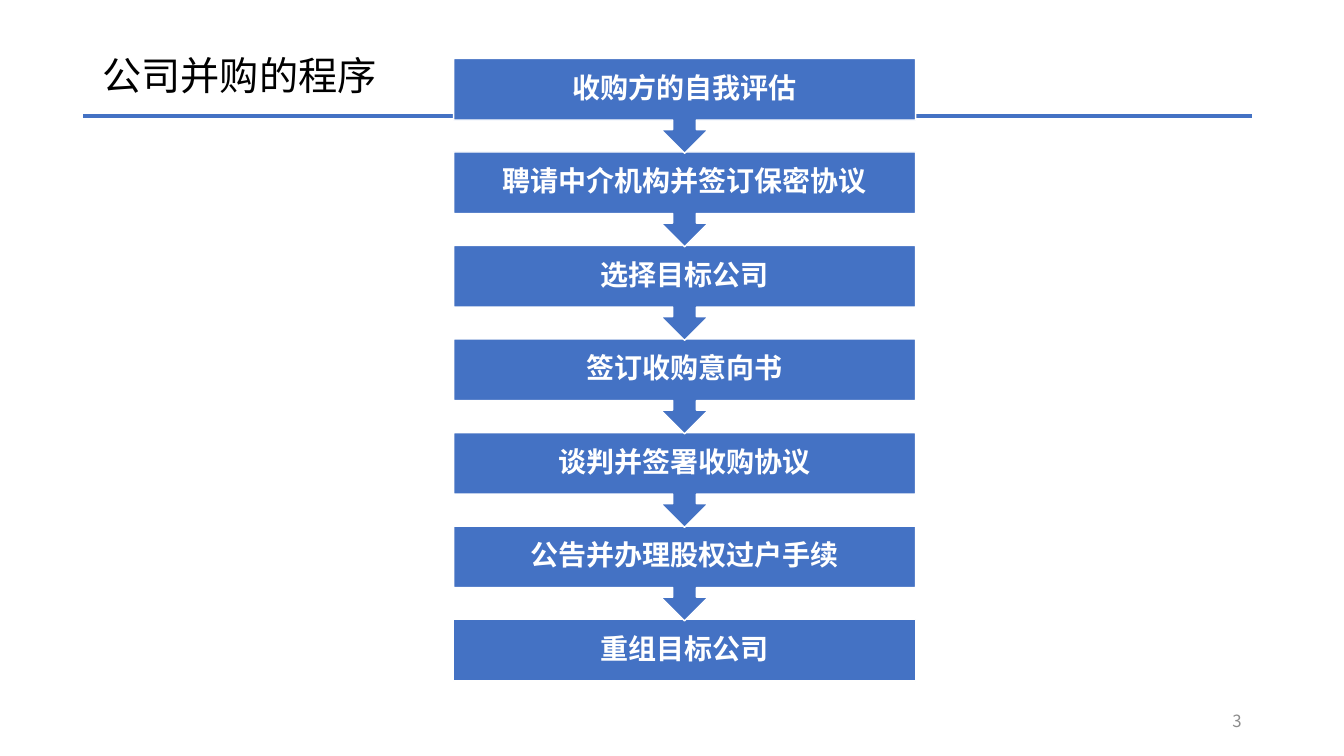
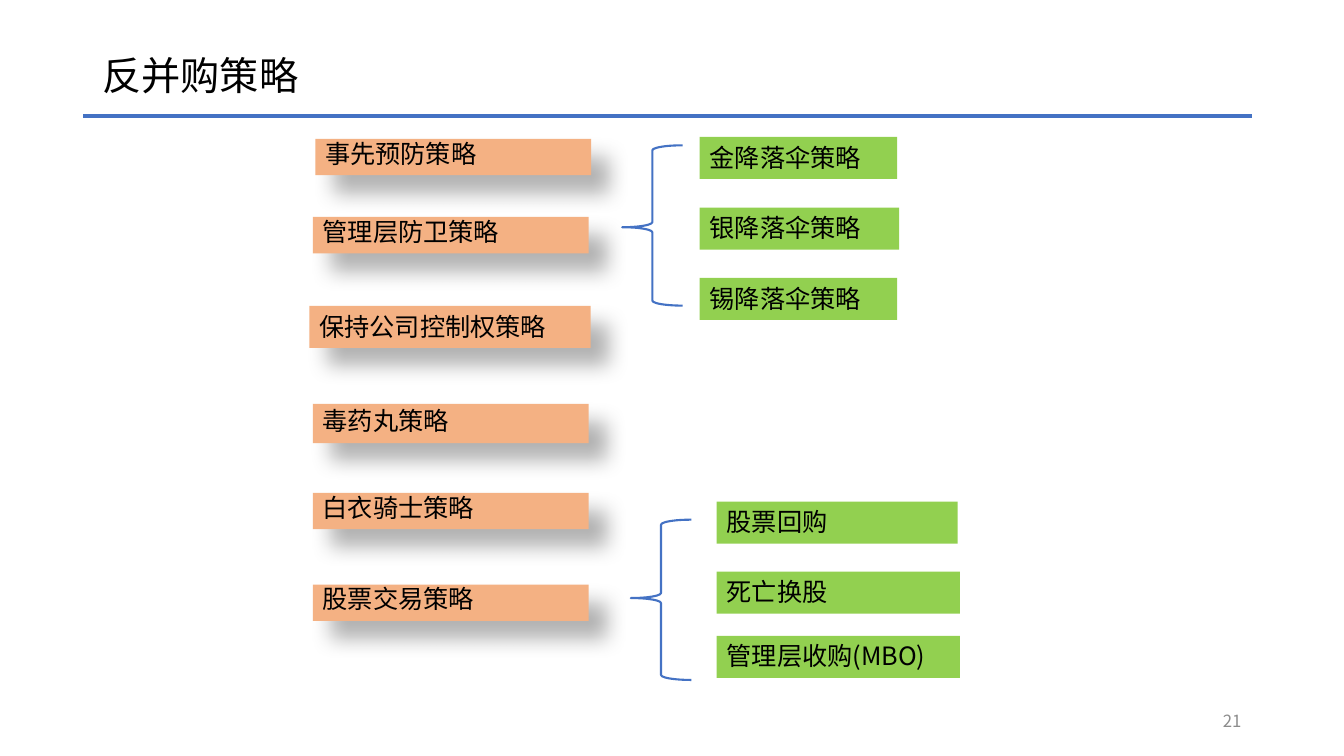
"""Build two slides on company mergers: the procedure and the defence strategies."""
import dataclasses

import lxml.etree
import pptx
import pptx.dml.color
import pptx.enum.shapes
import pptx.enum.text
import pptx.oxml.ns
import pptx.util

Pt = pptx.util.Pt
RGBColor = pptx.dml.color.RGBColor
MSO_SHAPE = pptx.enum.shapes.MSO_SHAPE
MSO_ANCHOR = pptx.enum.text.MSO_ANCHOR
PP_ALIGN = pptx.enum.text.PP_ALIGN
qn = pptx.oxml.ns.qn

BLUE = RGBColor(0x44, 0x72, 0xC4)
ORANGE = RGBColor(0xF4, 0xB1, 0x83)
GREEN = RGBColor(0x92, 0xD0, 0x50)
GREY = RGBColor(0x8C, 0x8C, 0x8C)
BLACK = RGBColor(0, 0, 0)
WHITE = RGBColor(0xFF, 0xFF, 0xFF)
FONT = "Noto Sans CJK SC"
TITLE_ONLY = 5

STEP_LEFT, STEP_TOP, STEP_WIDTH = 324, 41.8, 330
STEP_PITCH, CALLOUT_HEIGHT, BOX_HEIGHT = 66.8, 67.7, 44
STEPS = [
    "收购方的自我评估",
    "聘请中介机构并签订保密协议",
    "选择目标公司",
    "签订收购意向书",
    "谈判并签署收购协议",
    "公告并办理股权过户手续",
    "重组目标公司",
]


@dataclasses.dataclass
class Label:
    text: str
    left: float
    top: float
    width: float
    spacing: float = 1.0

    @property
    def height(self) -> float:
        return 10 + 20 * self.spacing


@dataclasses.dataclass
class Brace:
    left: float
    top: float
    point: float


STRATEGIES = [
    Label("事先预防策略", 225.2, 99.2, 197, 0.8),
    Label("管理层防卫策略", 223.5, 155, 197, 0.8),
    Label("保持公司控制权策略", 221, 218.5, 201),
    Label("毒药丸策略", 223.5, 288.6, 197, 0.9),
    Label("白衣骑士策略", 223.5, 352, 197, 0.8),
    Label("股票交易策略", 223.5, 417.6, 197, 0.8),
]
MEASURES = [
    Label("金降落伞策略", 499.8, 97.8, 141),
    Label("银降落伞策略", 499.8, 148.3, 142.5),
    Label("锡降落伞策略", 499.8, 198.6, 141),
    Label("股票回购", 512, 358.4, 172),
    Label("死亡换股", 512, 408.4, 173.7),
    Label("管理层收购(MBO)", 512, 454.2, 173.7),
]
BRACES = [Brace(444.4, 103.8, 0.511), Brace(450.6, 371.2, 0.489)]


def write(tf, text: str, size: float, color: RGBColor, align=PP_ALIGN.LEFT,
          anchor=MSO_ANCHOR.MIDDLE, spacing: float = 1.0, bold: bool = False):
    """Fill a text frame with one formatted paragraph and return it."""
    tf.text = text
    tf.word_wrap = True
    tf.auto_size = pptx.enum.text.MSO_AUTO_SIZE.NONE
    tf.vertical_anchor = anchor
    p = tf.paragraphs[0]
    p.alignment = align
    p.line_spacing = spacing
    for r in p.runs:
        r.font.size = Pt(size)
        r.font.bold = bold
        r.font.name = FONT
        r.font.color.rgb = color
        lxml.etree.SubElement(r.font._element, qn("a:ea"), typeface=FONT)
    return p


def add_base_slide(prs, title: str, number: int):
    """Add a slide with its title, rule and page number."""
    s = prs.slides.add_slide(prs.slide_layouts[TITLE_ONLY])
    sp = s.shapes.title
    sp.left, sp.top, sp.width, sp.height = Pt(66), Pt(28.8), Pt(828), Pt(53)
    write(sp.text_frame, title, 28, BLACK, spacing=0.9)
    rule = s.shapes.add_connector(pptx.enum.shapes.MSO_CONNECTOR.STRAIGHT,
                                  Pt(59.5), Pt(82.8), Pt(894), Pt(82.8))
    rule.line.color.rgb = BLUE
    rule.line.width = Pt(3)
    lxml.etree.SubElement(rule._element.spPr, qn("a:effectLst"))
    page = s.shapes.add_textbox(Pt(678), Pt(500.5), Pt(216), Pt(28.8))
    write(page.text_frame, str(number), 12, GREY, PP_ALIGN.RIGHT)
    return s


def add_step(s, index: int, text: str) -> None:
    """Draw one procedure step, with an arrow unless it is the last."""
    last = index == len(STEPS) - 1
    kind = MSO_SHAPE.RECTANGLE if last else MSO_SHAPE.DOWN_ARROW_CALLOUT
    height = BOX_HEIGHT if last else CALLOUT_HEIGHT
    sp = s.shapes.add_shape(kind, Pt(STEP_LEFT), Pt(STEP_TOP + index * STEP_PITCH),
                            Pt(STEP_WIDTH), Pt(height))
    sp.shadow.inherit = False
    sp.fill.solid()
    sp.fill.fore_color.rgb = BLUE
    sp.line.color.rgb = WHITE
    sp.line.width = Pt(1)
    tf = sp.text_frame
    tf.margin_left = tf.margin_right = tf.margin_top = tf.margin_bottom = Pt(11.4)
    p = write(tf, text, 20, WHITE, PP_ALIGN.CENTER, spacing=0.9, bold=True)
    p.space_after = Pt(7)


def add_label(s, label: Label, color: RGBColor, shadow: bool = False) -> None:
    """Draw a filled label, with a soft shadow if asked."""
    sp = s.shapes.add_shape(MSO_SHAPE.RECTANGLE, Pt(label.left), Pt(label.top),
                            Pt(label.width), Pt(label.height))
    sp.shadow.inherit = False
    sp.fill.solid()
    sp.fill.fore_color.rgb = color
    sp.line.fill.background()
    if shadow:
        effects = sp._element.spPr.find(qn("a:effectLst"))
        outer = lxml.etree.SubElement(
            effects, qn("a:outerShdw"), blurRad=str(Pt(15)), dist=str(Pt(18)),
            dir="2700000", algn="tl", rotWithShape="0")
        tint = lxml.etree.SubElement(outer, qn("a:srgbClr"), val=str(BLACK))
        lxml.etree.SubElement(tint, qn("a:alpha"), val="30000")
    write(sp.text_frame, label.text, 18, BLACK, anchor=MSO_ANCHOR.TOP,
          spacing=label.spacing)


def add_brace(s, brace: Brace) -> None:
    """Draw a brace that joins a strategy to its measures."""
    sp = s.shapes.add_shape(MSO_SHAPE.LEFT_BRACE, Pt(brace.left), Pt(brace.top),
                            Pt(43.2), Pt(114.5))
    sp.shadow.inherit = False
    sp.adjustments[0] = 0.083
    sp.adjustments[1] = brace.point
    sp.fill.background()
    sp.line.color.rgb = BLUE
    sp.line.width = Pt(1.5)


def main() -> None:
    """Build and save the presentation."""
    prs = pptx.Presentation()
    prs.slide_width, prs.slide_height = Pt(960), Pt(540)

    s = add_base_slide(prs, "公司并购的程序", 3)
    for index, text in reversed(list(enumerate(STEPS))):
        add_step(s, index, text)

    s = add_base_slide(prs, "反并购策略", 21)
    for label in STRATEGIES:
        add_label(s, label, ORANGE, shadow=True)
    for label in MEASURES:
        add_label(s, label, GREEN)
    for brace in BRACES:
        add_brace(s, brace)

    prs.save("out.pptx")


if __name__ == "__main__":
    main()
